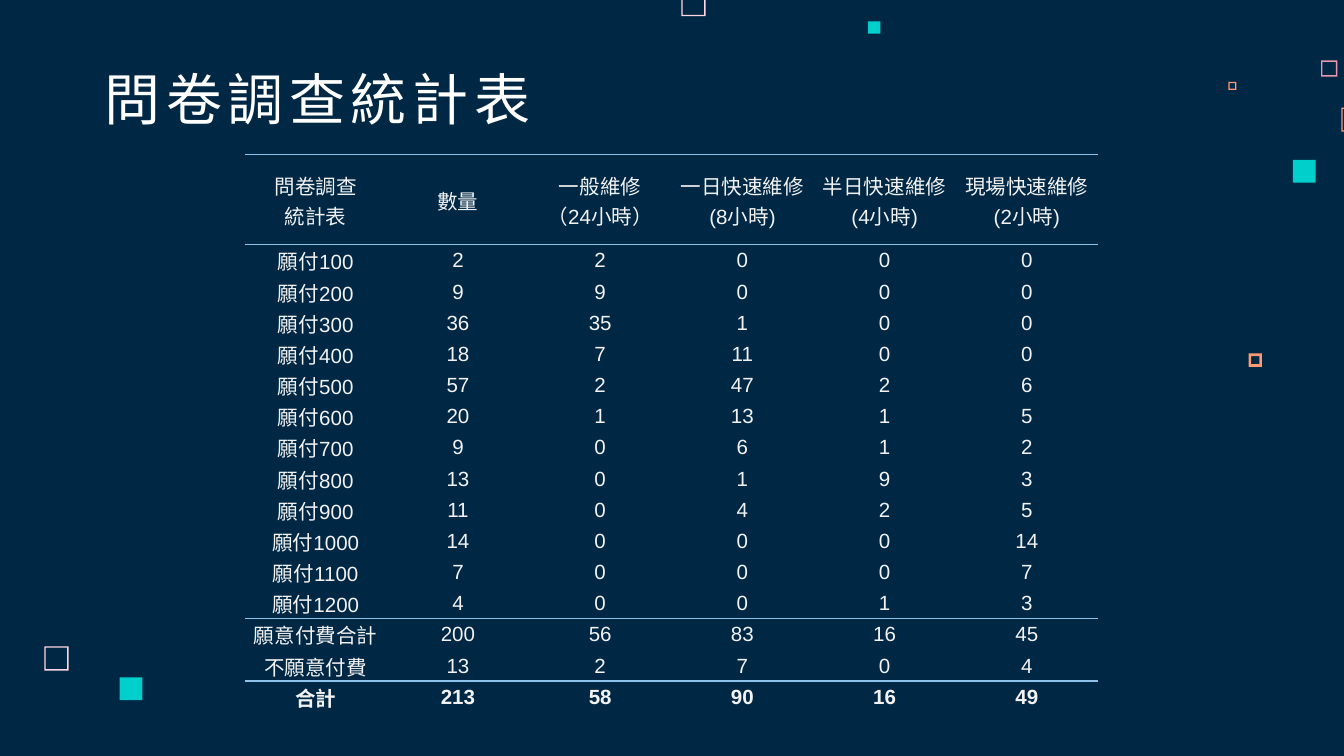
from lxml import etree
from pptx import Presentation
from pptx.dml.color import RGBColor
from pptx.enum.shapes import MSO_SHAPE
from pptx.enum.text import MSO_ANCHOR, MSO_AUTO_SIZE, PP_ALIGN
from pptx.oxml import parse_xml
from pptx.oxml.ns import nsdecls, qn
from pptx.util import Inches, Pt

FRAME, RECT = MSO_SHAPE.FRAME, MSO_SHAPE.RECTANGLE
LEFT, CENTER = PP_ALIGN.LEFT, PP_ALIGN.CENTER
MIDDLE, BOTTOM = MSO_ANCHOR.MIDDLE, MSO_ANCHOR.BOTTOM
NO_FIT = MSO_AUTO_SIZE.NONE
CJK = "Noto Sans CJK SC"
PINK, ROSE, CORAL, TEAL = "FFD6E1", "E898AC", "FF9973", "00CFCC"
PLAIN_STYLE = "{2D5ABB26-0587-4C30-8999-92F81FD0307C}"
NO_LINE = "<a:noFill/>"
BLUE_LINE = '<a:solidFill><a:srgbClr val="8CC2EA"/></a:solidFill>'


def color(code):
    return RGBColor.from_string(code)


def add_text(para, text, size, face, code, bold=False):
    run = para.add_run()
    run.text = text
    font = run.font
    font.size, font.name, font.bold = Pt(size), face, bold
    font.color.rgb = color(code)
    etree.SubElement(run._r.rPr, qn("a:ea"), typeface=CJK)
    return run


prs = Presentation()
prs.slide_width = Inches(10)
prs.slide_height = Inches(10) * 9 // 16
slide = prs.slides.add_slide(prs.slide_layouts[5])
slide.background.fill.solid()
slide.background.fill.fore_color.rgb = color("002845")

# Decorative squares: left, top, side, colour, line width (0 is a solid square)
squares = [
    (5.07, -0.06, 0.18, PINK, 0.01),
    (9.83, 0.45, 0.12, ROSE, 0.01),
    (9.14, 0.61, 0.06, CORAL, 0.01),
    (9.98, 0.8, 0.18, CORAL, 0.01),
    (9.62, 1.19, 0.17, TEAL, 0),
    (9.29, 2.63, 0.1, CORAL, 0.02),
    (6.46, 0.16, 0.09, TEAL, 0),
    (0.33, 4.81, 0.18, PINK, 0.01),
    (0.89, 5.04, 0.17, TEAL, 0),
]
for left, top, side, code, edge in squares:
    square = slide.shapes.add_shape(
        FRAME if edge else RECT,
        Inches(left), Inches(top), Inches(side), Inches(side))
    if edge:
        square.adjustments[0] = edge / side
    square.shadow.inherit = False
    square.fill.solid()
    square.fill.fore_color.rgb = color(code)
    square.line.fill.background()

# Title
title = slide.shapes.title
title.left, title.top = Inches(0.68), Inches(0.45)
title.width, title.height = Inches(6.44), Inches(0.63)
frame = title.text_frame
frame.auto_size, frame.word_wrap = NO_FIT, True
frame.vertical_anchor = BOTTOM
frame.margin_left = frame.margin_right = Inches(0.1)
frame.margin_top = frame.margin_bottom = Inches(0.1)
frame.paragraphs[0].alignment = LEFT
run = add_text(frame.paragraphs[0], "問卷調查統計表", 30, CJK, "FFFFFF")
run._r.rPr.set("spc", "300")

# Survey table
heads = ["問卷調查\n統計表", "數量", "一般維修\n（24小時）",
         "一日快速維修\n(8小時)", "半日快速維修\n(4小時)", "現場快速維修\n(2小時)"]
counts = [
    (2, 2, 0, 0, 0),
    (9, 9, 0, 0, 0),
    (36, 35, 1, 0, 0),
    (18, 7, 11, 0, 0),
    (57, 2, 47, 2, 6),
    (20, 1, 13, 1, 5),
    (9, 0, 6, 1, 2),
    (13, 0, 1, 9, 3),
    (11, 0, 4, 2, 5),
    (14, 0, 0, 0, 14),
    (7, 0, 0, 0, 7),
    (4, 0, 0, 1, 3),
]
rows = [heads]
rows += [(f"願付{100 * n}", *row) for n, row in enumerate(counts, 1)]
rows += [
    ("願意付費合計", 200, 56, 83, 16, 45),
    ("不願意付費", 13, 2, 7, 0, 4),
    ("合計", 213, 58, 90, 16, 49),
]
last = len(rows) - 1
rules = {0, 1, 13, last}  # rows with a line above them

table = slide.shapes.add_table(
    len(rows), len(heads),
    Inches(1.82), Inches(1.15), Inches(6.35), Inches(4.13)).table
table.first_row = table.horz_banding = False
table._tbl.tblPr.find(qn("a:tableStyleId")).text = PLAIN_STYLE
for r, row in enumerate(rows):
    table.rows[r].height = Inches(0.67 if r == 0 else (4.13 - 0.67) / last)
    for c, value in enumerate(row):
        cell = table.cell(r, c)
        cell.fill.background()
        cell.vertical_anchor = MIDDLE
        cell.margin_left = cell.margin_right = cell.margin_top = Inches(0.01)
        cell.margin_bottom = 0
        para = cell.text_frame.paragraphs[0]
        para.alignment = CENTER
        for n, line in enumerate(str(value).split("\n")):
            if n:
                para.add_line_break()
            add_text(para, line, 11, "Arial", "F2F2F2", r == last)
        sides = [("lnL", False), ("lnR", False),
                 ("lnT", r in rules), ("lnB", r + 1 in rules)]
        for spot, (tag, ruled) in enumerate(sides):
            cell._tc.tcPr.insert(spot, parse_xml(
                f'<a:{tag} {nsdecls("a")} w="{int(Pt(1))}">'
                f'{BLUE_LINE if ruled else NO_LINE}</a:{tag}>'))

prs.save("out.pptx")
